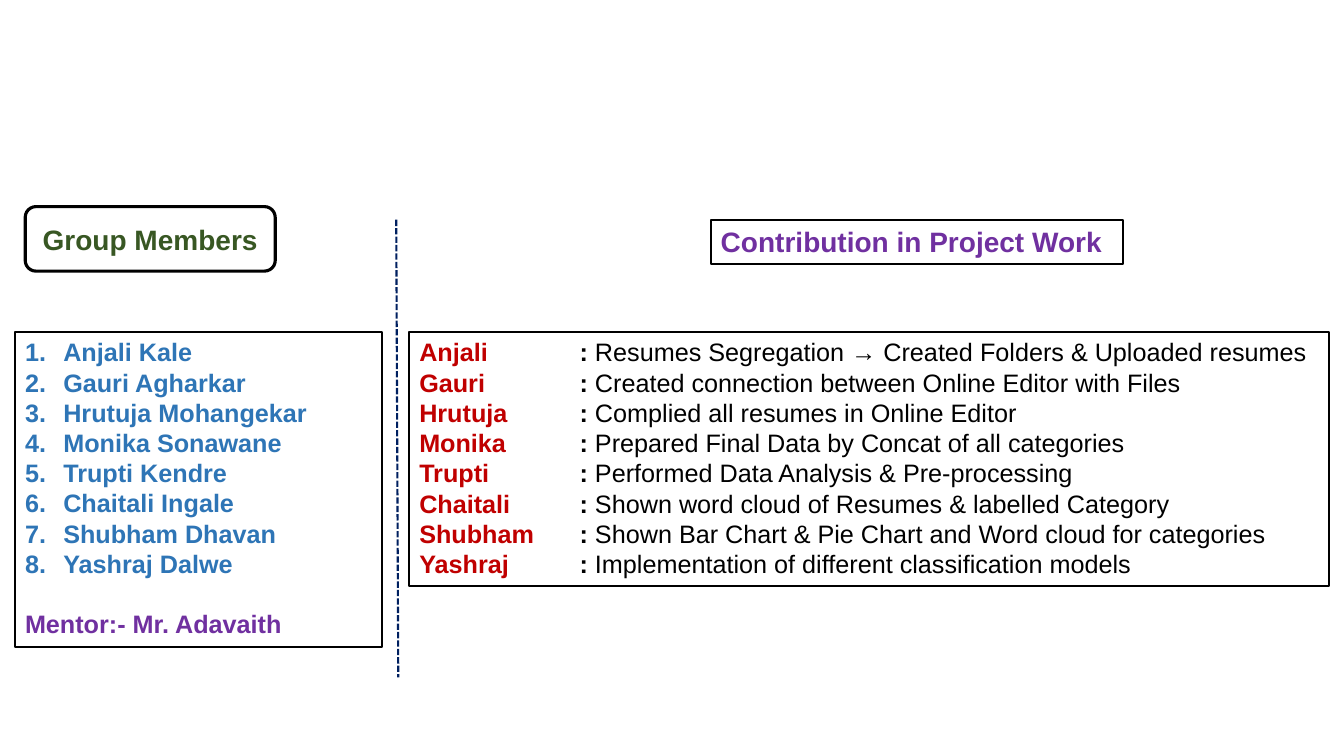
from dataclasses import dataclass

from lxml import etree
from pptx import Presentation
from pptx.dml.color import RGBColor
from pptx.enum.dml import MSO_LINE
from pptx.enum.shapes import MSO_CONNECTOR, MSO_SHAPE
from pptx.enum.text import MSO_ANCHOR, PP_ALIGN
from pptx.oxml.ns import qn
from pptx.util import Inches, Pt

RECT, ROUNDED = MSO_SHAPE.RECTANGLE, MSO_SHAPE.ROUNDED_RECTANGLE
STRAIGHT, DASHED = MSO_CONNECTOR.STRAIGHT, MSO_LINE.SQUARE_DOT
LEFT, CENTER = PP_ALIGN.LEFT, PP_ALIGN.CENTER
TOP, MIDDLE = MSO_ANCHOR.TOP, MSO_ANCHOR.MIDDLE

MEMBERS = [
    "Anjali Kale", "Gauri Agharkar", "Hrutuja Mohangekar", "Monika Sonawane",
    "Trupti Kendre", "Chaitali Ingale", "Shubham Dhavan", "Yashraj Dalwe",
]
CONTRIBUTIONS = [
    "Resumes Segregation → Created Folders & Uploaded resumes",
    "Created connection between Online Editor with Files",
    "Complied all resumes in Online Editor",
    "Prepared Final Data by Concat of all categories",
    "Performed Data Analysis & Pre-processing",
    "Shown word cloud of Resumes & labelled Category",
    "Shown Bar Chart & Pie Chart and Word cloud for categories",
    "Implementation of different classification models",
]


@dataclass(frozen=True)
class Theme:
    font: str = "Arial"
    body: int = 18
    heading: int = 20
    black: str = "000000"
    white: str = "FFFFFF"
    blue: str = "2E75B6"
    navy: str = "002060"
    green: str = "385723"
    purple: str = "7030A0"
    red: str = "C00000"


class SlideBuilder:
    def __init__(self, slide, theme):
        self.slide = slide
        self.theme = theme

    def box(self, x, y, w, h, kind=RECT, fill=None, weight=1.5, anchor=TOP, wrap=True):
        """Draw an outlined box and return its text frame."""
        s = self.slide.shapes.add_shape(kind, Inches(x), Inches(y), Inches(w), Inches(h))
        s.shadow.inherit = False
        if fill:
            s.fill.solid()
            s.fill.fore_color.rgb = RGBColor.from_string(fill)
        else:
            s.fill.background()
        s.line.color.rgb = RGBColor.from_string(self.theme.black)
        s.line.width = Pt(weight)
        tf = s.text_frame
        tf.word_wrap = wrap
        tf.vertical_anchor = anchor
        return tf

    def paragraph(self, tf, align=LEFT):
        """Return the first paragraph while it is empty, else a new one."""
        p = tf.paragraphs[-1]
        if p.runs:
            p = tf.add_paragraph()
        p.alignment = align
        return p

    def run(self, p, text, color, size=None, bold=True):
        r = p.add_run()
        r.text = text
        r.font.name = self.theme.font
        r.font.size = Pt(size or self.theme.body)
        r.font.bold = bold
        r.font.color.rgb = RGBColor.from_string(color)

    def number(self, p, indent=0.38):
        """Number the paragraph automatically, with a hanging indent."""
        pPr = p._p.get_or_add_pPr()
        pPr.set("marL", str(Inches(indent)))
        pPr.set("indent", str(-Inches(indent)))
        etree.SubElement(pPr, qn("a:buFont"), typeface="+mj-lt")
        etree.SubElement(pPr, qn("a:buAutoNum"), type="arabicPeriod")

    def tab_stop(self, p, position):
        tabs = etree.SubElement(p._p.get_or_add_pPr(), qn("a:tabLst"))
        etree.SubElement(tabs, qn("a:tab"), pos=str(Inches(position)), algn="l")

    def dashed_line(self, x1, y1, x2, y2, color):
        line = self.slide.shapes.add_connector(
            STRAIGHT, Inches(x1), Inches(y1), Inches(x2), Inches(y2))
        line.line.color.rgb = RGBColor.from_string(color)
        line.line.width = Pt(1.5)
        line.line.dash_style = DASHED
        etree.SubElement(line._element.spPr, qn("a:effectLst"))


def main():
    prs = Presentation()
    prs.slide_width, prs.slide_height = Inches(13.33), Inches(7.5)
    theme = Theme()
    page = SlideBuilder(prs.slides.add_slide(prs.slide_layouts[6]), theme)

    members = page.box(0.15, 3.29, 3.64, 3.13)
    for name in MEMBERS:
        p = page.paragraph(members)
        page.number(p)
        page.run(p, name, theme.blue)
    mentor = page.paragraph(members)
    mentor.space_before = Pt(21.6)
    page.run(mentor, "Mentor:- Mr. Adavaith", theme.purple)

    work = page.box(4.06, 3.29, 9.12, 2.52)
    for name, task in zip(MEMBERS, CONTRIBUTIONS):
        p = page.paragraph(work)
        page.tab_stop(p, 1.59)
        page.run(p, name.split()[0] + "\t", theme.red)
        page.run(p, ": ", theme.black)
        page.run(p, task, theme.black, bold=False)

    title = page.box(7.05, 2.18, 4.09, 0.44, fill=theme.white, wrap=False)
    page.run(page.paragraph(title), "Contribution in Project Work", theme.purple, theme.heading)

    page.dashed_line(3.93, 2.18, 3.95, 6.72, theme.navy)

    label = page.box(0.25, 2.05, 2.48, 0.64, ROUNDED, weight=2.25, anchor=MIDDLE)
    page.run(page.paragraph(label, CENTER), "Group Members", theme.green, theme.heading)

    prs.save("out.pptx")


if __name__ == "__main__":
    main()
